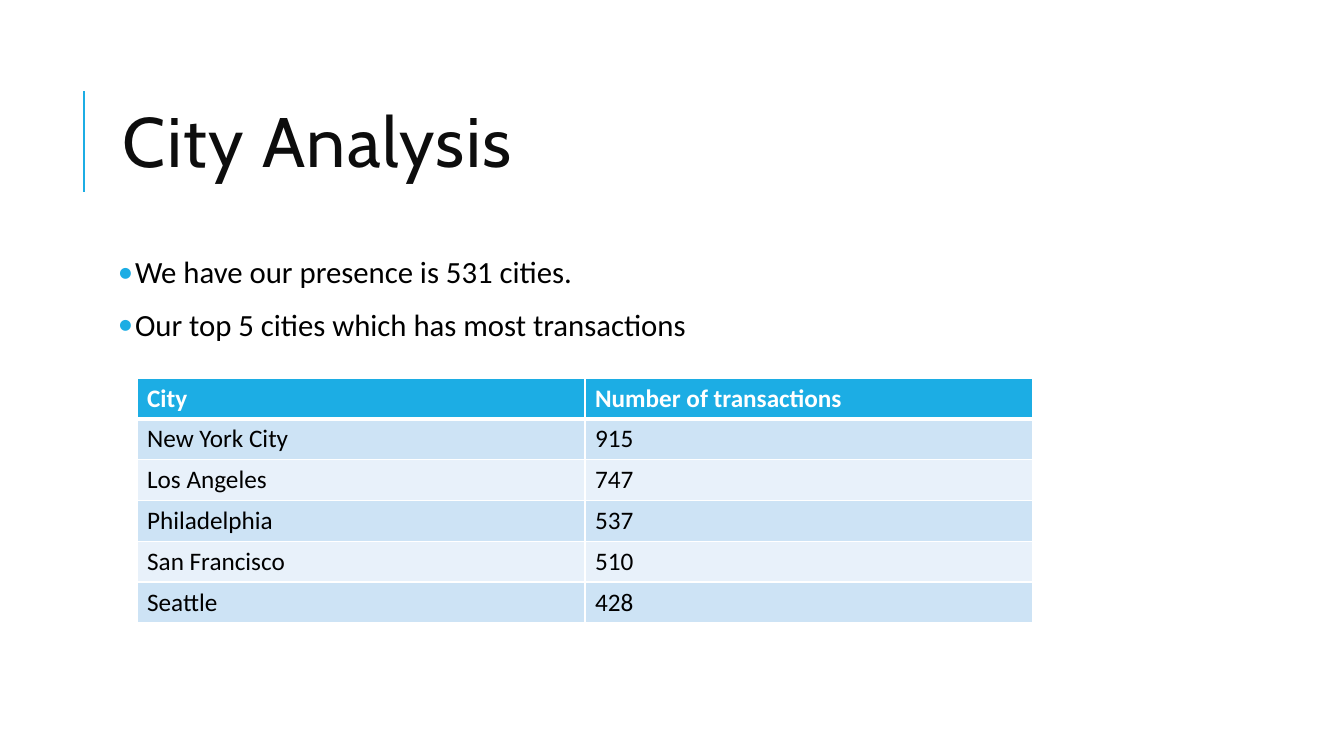
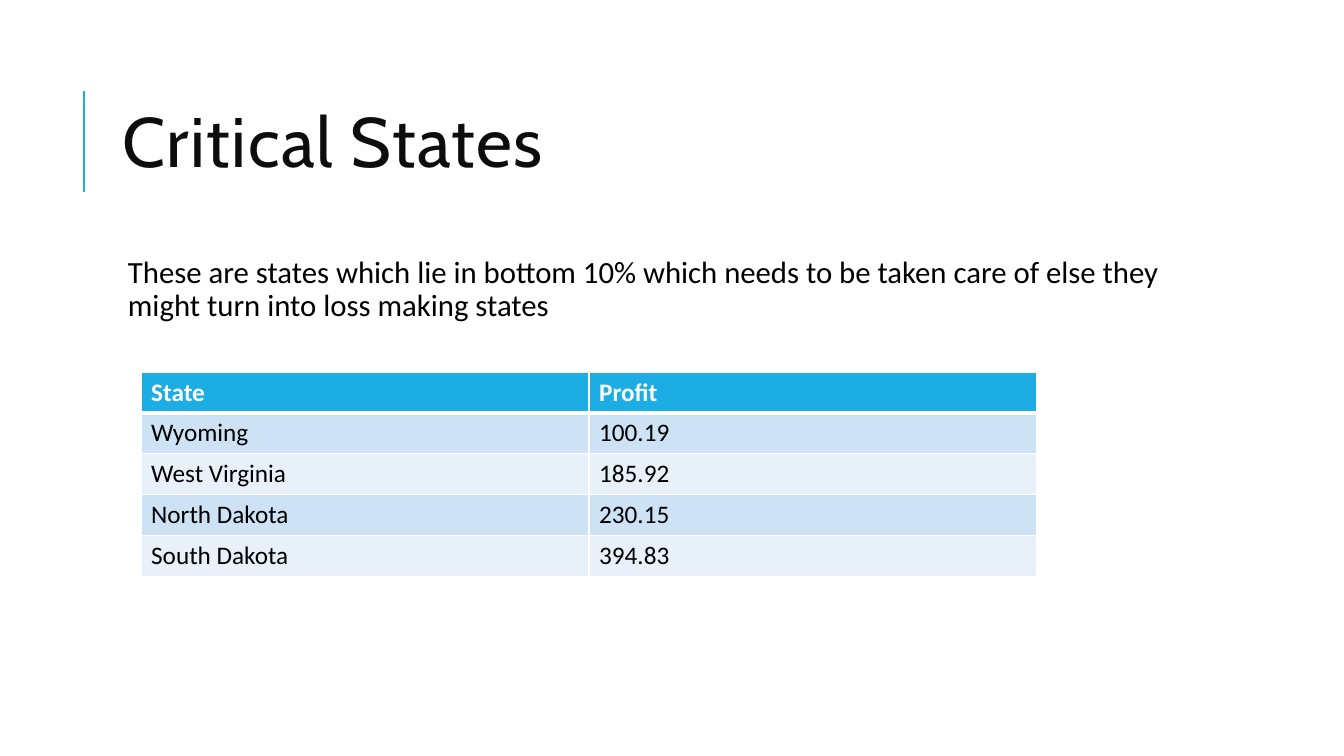
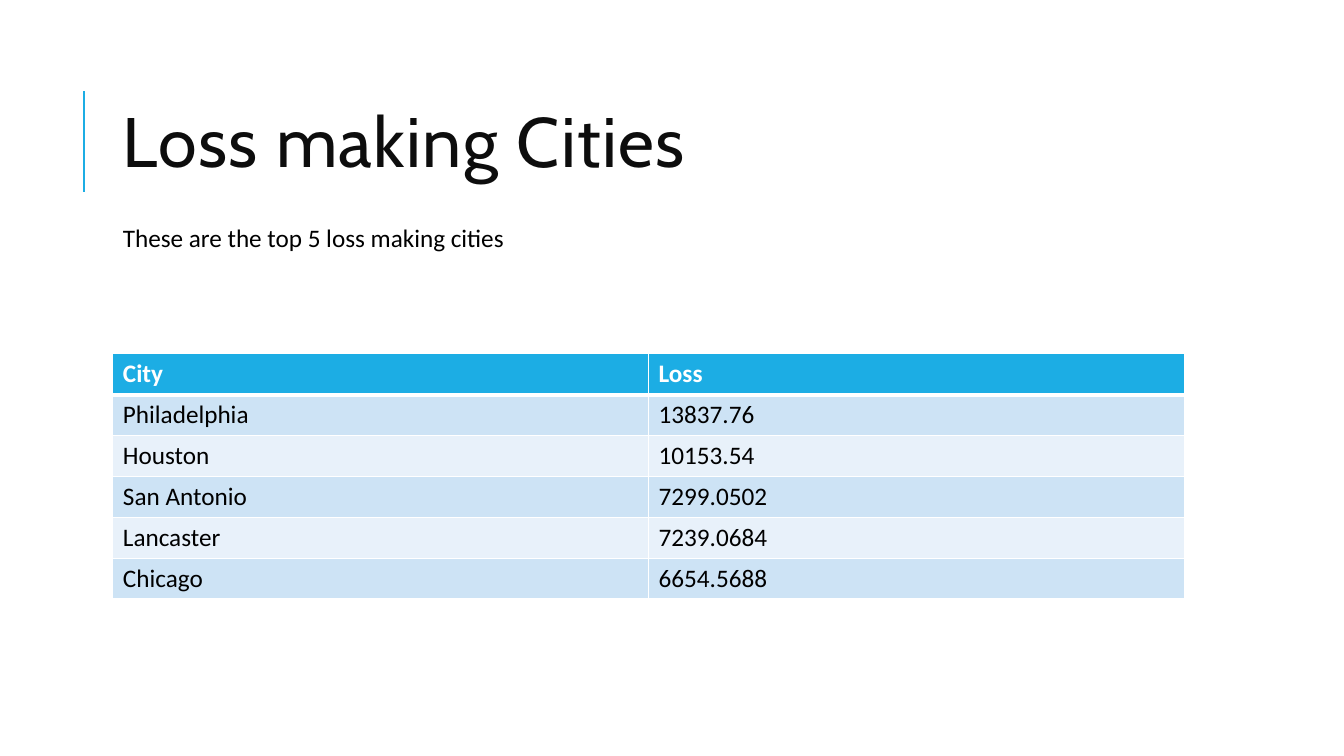
from lxml import etree
from pptx import Presentation
from pptx.dml.color import RGBColor
from pptx.enum.shapes import MSO_CONNECTOR
from pptx.enum.text import MSO_ANCHOR, MSO_AUTO_SIZE, PP_ALIGN
from pptx.oxml.ns import qn
from pptx.util import Inches, Pt

# Slide grid: 120 columns by 75 rows
WIDTH, HEIGHT = Inches(40 / 3), Inches(7.5)
COLUMN, ROW = WIDTH / 120, HEIGHT / 75

COLORS = {
    "accent": "1CADE4",
    "title": "0D0D0D",
    "text": "000000",
    "white": "FFFFFF",
    "band_dark": "CDE3F5",
    "band_light": "E8F1FA",
}

# Boxes: left and width in columns, top and height in rows
TITLE_BOX = (10.08, 6.4, 95.67, 16.4)
BODY_BOX = (10.08, 25, 95.67, 44)
CAPTION_BOX = (10.08, 21.6, 91.35, 4)
RULE_COLUMN, RULE_TOP, RULE_BOTTOM = 7.5, 9, 19

# Text formats
TITLE_FONT = {"name": "Cabin", "size": Pt(50), "bold": False}
BODY_FONT = {"name": "Calibri", "size": Pt(22), "bold": False}
SMALL_FONT = {"name": "Calibri", "size": Pt(18), "bold": False}
HEADER_FONT = {**SMALL_FONT, "bold": True}
TITLE_PARAGRAPH = {"alignment": PP_ALIGN.LEFT, "line_spacing": 0.8}
BODY_PARAGRAPH = {
    "alignment": PP_ALIGN.LEFT,
    "line_spacing": 0.9,
    "space_before": Pt(12),
    "space_after": Pt(2),
}
TITLE_FRAME = {
    "word_wrap": True,
    "auto_size": MSO_AUTO_SIZE.NONE,
    "vertical_anchor": MSO_ANCHOR.MIDDLE,
}
BODY_FRAME = {
    "word_wrap": True,
    "margin_left": Inches(0.05),
    "margin_top": Inches(0.05),
    "margin_right": Inches(0.05),
    "margin_bottom": Inches(0.05),
}
CAPTION_FRAME = {"word_wrap": True, "auto_size": MSO_AUTO_SIZE.SHAPE_TO_FIT_TEXT}

SLIDES = [
    {
        "title": "City Analysis",
        "body": [
            "We have our presence is 531 cities.",
            "Our top 5 cities which has most transactions",
        ],
        "bullets": True,
        "table_box": (12.24, 37.5, 80, 24.3),
        "rows": [
            ("City", "Number of transactions"),
            ("New York City", "915"),
            ("Los Angeles", "747"),
            ("Philadelphia", "537"),
            ("San Francisco", "510"),
            ("Seattle", "428"),
        ],
    },
    {
        "title": "Critical States",
        "body": [
            "These are states which lie in bottom 10% which needs to be taken care of "
            "else they might turn into loss making states",
        ],
        "bullets": False,
        "table_box": (12.6, 36.9, 80, 20.3),
        "rows": [
            ("State", "Profit"),
            ("Wyoming", "100.19"),
            ("West Virginia", "185.92"),
            ("North Dakota", "230.15"),
            ("South Dakota", "394.83"),
        ],
    },
    {
        "title": "Loss making Cities",
        "caption": "These are the top 5 loss making cities",
        "table_box": (10.08, 35.1, 95.67, 24.3),
        "rows": [
            ("City", "Loss"),
            ("Philadelphia", "13837.76"),
            ("Houston", "10153.54"),
            ("San Antonio", "7299.0502"),
            ("Lancaster", "7239.0684"),
            ("Chicago", "6654.5688"),
        ],
    },
]


def color(name):
    return RGBColor.from_string(COLORS[name])


def place(box):
    left, top, width, height = box
    return (round(left * COLUMN), round(top * ROW),
            round(width * COLUMN), round(height * ROW))


def apply_format(target, values):
    for name, value in values.items():
        setattr(target, name, value)


def write(paragraph, text, font, color_name):
    run = paragraph.add_run()
    run.text = text
    apply_format(run.font, font)
    run.font.color.rgb = color(color_name)
    return run


def add_title(slide, text):
    """Title with the accent rule at its left."""
    left = round(RULE_COLUMN * COLUMN)
    rule = slide.shapes.add_connector(
        MSO_CONNECTOR.STRAIGHT,
        left, round(RULE_BOTTOM * ROW), left, round(RULE_TOP * ROW))
    rule.line.color.rgb = color("accent")
    rule.line.width = Pt(1.5)
    etree.SubElement(rule._element.spPr, qn("a:effectLst"))

    title = slide.shapes.title
    title.left, title.top, title.width, title.height = place(TITLE_BOX)
    apply_format(title.text_frame, TITLE_FRAME)
    paragraph = title.text_frame.paragraphs[0]
    apply_format(paragraph, TITLE_PARAGRAPH)
    run = write(paragraph, text, TITLE_FONT, "title")
    run._r.get_or_add_rPr().set("spc", "100")


def set_bullet(paragraph, indent, bulleted):
    properties = paragraph._p.get_or_add_pPr()
    properties.set("marL", str(indent))
    properties.set("indent", str(-indent if bulleted else 0))
    if bulleted:
        bullet_color = etree.SubElement(properties, qn("a:buClr"))
        etree.SubElement(bullet_color, qn("a:srgbClr"), val=COLORS["accent"])
        etree.SubElement(properties, qn("a:buFont"), typeface="Calibri")
        etree.SubElement(properties, qn("a:buChar"), char="•")
    else:
        etree.SubElement(properties, qn("a:buNone"))


def add_body(slide, box, lines, bulleted):
    """Lines of body text, with or without bullets."""
    frame = slide.shapes.add_textbox(*place(box)).text_frame
    apply_format(frame, BODY_FRAME)
    for index, line in enumerate(lines):
        paragraph = frame.add_paragraph() if index else frame.paragraphs[0]
        apply_format(paragraph, BODY_PARAGRAPH)
        set_bullet(paragraph, Inches(0.17 if bulleted else 0.1), bulleted)
        write(paragraph, line, BODY_FONT, "text")


def add_caption(slide, box, text):
    """One line under the title."""
    frame = slide.shapes.add_textbox(*place(box)).text_frame
    apply_format(frame, CAPTION_FRAME)
    write(frame.paragraphs[0], text, SMALL_FONT, "text")


def set_borders(cell, row_index):
    widths = {"L": 1, "R": 1,
              "T": 3 if row_index == 1 else 1,
              "B": 3 if row_index == 0 else 1}
    properties = cell._tc.get_or_add_tcPr()
    for side, width in widths.items():
        line = etree.SubElement(properties, qn(f"a:ln{side}"), w=str(Pt(width)))
        fill = etree.SubElement(line, qn("a:solidFill"))
        etree.SubElement(fill, qn("a:srgbClr"), val=COLORS["white"])


def add_data_table(slide, box, rows):
    """Table with a header row and banded data rows."""
    left, top, width, height = place(box)
    column_count = len(rows[0])
    table = slide.shapes.add_table(
        len(rows), column_count, left, top, width, height).table
    for column in table.columns:
        column.width = width // column_count
    for row_index, values in enumerate(rows):
        table.rows[row_index].height = height // len(rows)
        if row_index == 0:
            fill, font, font_color = "accent", HEADER_FONT, "white"
        else:
            fill = "band_dark" if row_index % 2 else "band_light"
            font, font_color = SMALL_FONT, "text"
        for column_index, value in enumerate(values):
            cell = table.cell(row_index, column_index)
            set_borders(cell, row_index)
            cell.fill.solid()
            cell.fill.fore_color.rgb = color(fill)
            write(cell.text_frame.paragraphs[0], value, font, font_color)


def add_table_slide(presentation, content):
    slide = presentation.slides.add_slide(presentation.slide_layouts[5])
    add_title(slide, content["title"])
    if "body" in content:
        add_body(slide, BODY_BOX, content["body"], content["bullets"])
    add_data_table(slide, content["table_box"], content["rows"])
    if "caption" in content:
        add_caption(slide, CAPTION_BOX, content["caption"])


def main():
    presentation = Presentation()
    presentation.slide_width, presentation.slide_height = WIDTH, HEIGHT
    for content in SLIDES:
        add_table_slide(presentation, content)
    presentation.save("out.pptx")


if __name__ == "__main__":
    main()
